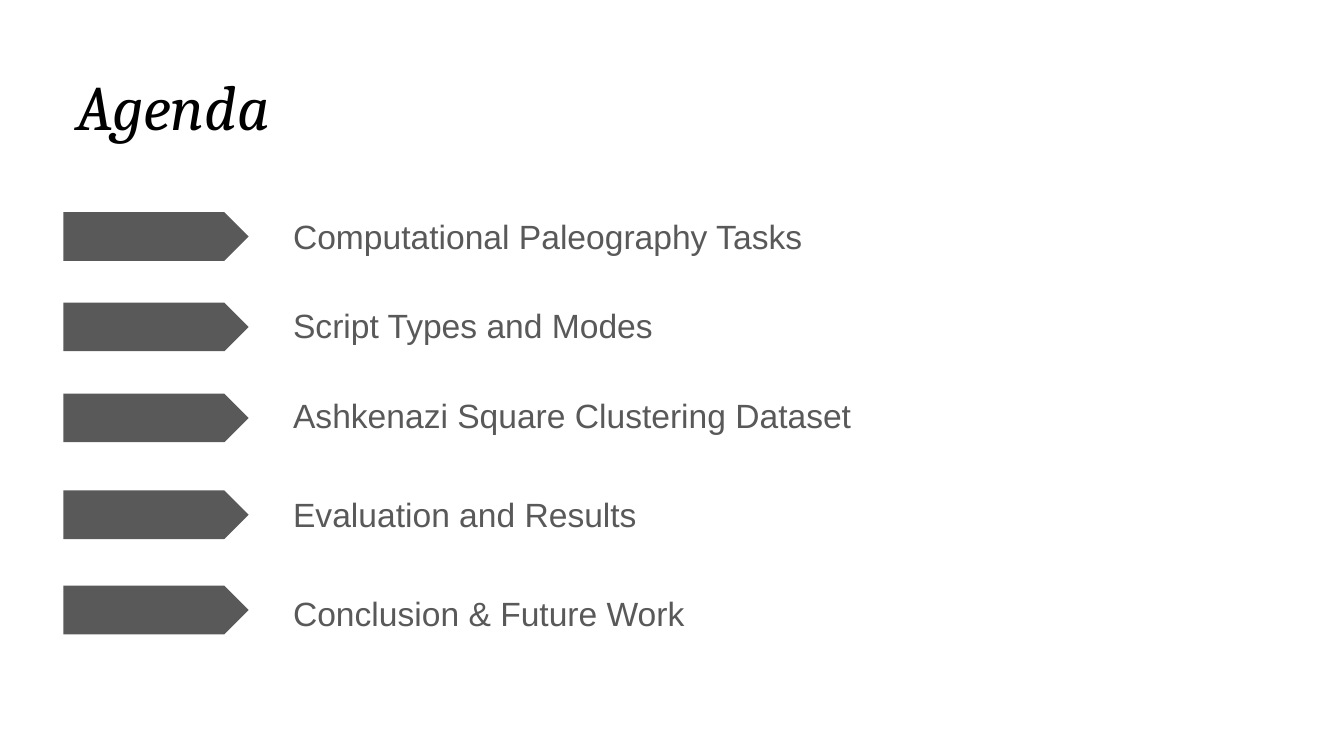
from pptx import Presentation
from pptx.dml.color import RGBColor
from pptx.enum.shapes import MSO_SHAPE as Shape
from pptx.enum.text import MSO_ANCHOR as Anchor, MSO_AUTO_SIZE as AutoSize, PP_ALIGN as Align
from pptx.util import Cm, Pt

GREY = "595959"
INSET = Cm(0.25)

# Topic, arrow offset, text offset, text width (cm); offsets run from the top of the agenda
TOPICS = [
    ("Computational Paleography Tasks", 0.17, 0, 12.8),
    ("Script Types and Modes", 1.88, 1.67, 11.13),
    ("Ashkenazi Square Clustering Dataset", 3.6, 3.37, 17.78),
    ("Evaluation and Results", 5.43, 5.25, 9.37),
    ("Conclusion & Future Work", 7.23, 7.11, 10.87),
]


def color(hex_text):
    return RGBColor.from_string(hex_text)


def write(box, text, *, font, size, fill, italic=False, auto_size=AutoSize.NONE):
    frame = box.text_frame
    frame.word_wrap = True
    frame.auto_size = auto_size
    frame.vertical_anchor = Anchor.TOP
    frame.margin_left = frame.margin_right = INSET
    frame.margin_top = frame.margin_bottom = INSET
    para = frame.paragraphs[0]
    para.alignment = Align.LEFT
    span = para.add_run()
    span.text = text
    span.font.name = font
    span.font.size = Pt(size)
    span.font.italic = italic
    span.font.color.rgb = color(fill)


def add_title(page, left, top, width, height):
    title = page.shapes.title
    title.left, title.top, title.width, title.height = left, top, width, height
    write(title, "Agenda", font="Cambria", size=34, fill="000000", italic=True)


def add_arrow(page, left, top, width, height):
    arrow = page.shapes.add_shape(Shape.PENTAGON, left, top, width, height)
    arrow.adjustments[0] = 0.5
    arrow.shadow.inherit = False
    arrow.fill.solid()
    arrow.fill.fore_color.rgb = color(GREY)
    arrow.line.fill.background()


def add_agenda(page, left, top):
    """Place one arrow and one label for each topic."""
    for topic, arrow_offset, text_offset, text_width in TOPICS:
        add_arrow(page, left, top + Cm(arrow_offset), Cm(3.5), Cm(0.92))
        label = page.shapes.add_textbox(
            left + Cm(4.09), top + Cm(text_offset), Cm(text_width), Cm(1.27))
        write(label, topic, font="Arial", size=18, fill=GREY,
              auto_size=AutoSize.SHAPE_TO_FIT_TEXT)


def main():
    deck = Presentation()
    deck.slide_width, deck.slide_height = Cm(25.4), Cm(14.29)
    page = deck.slides.add_slide(deck.slide_layouts[5])
    page.background.fill.solid()
    page.background.fill.fore_color.rgb = color("FFFFFF")
    left = Cm(1.2)
    add_title(page, left, Cm(1.02), Cm(11.89), Cm(1.6))
    add_agenda(page, left, Cm(3.84))
    deck.save("out.pptx")


if __name__ == "__main__":
    main()
